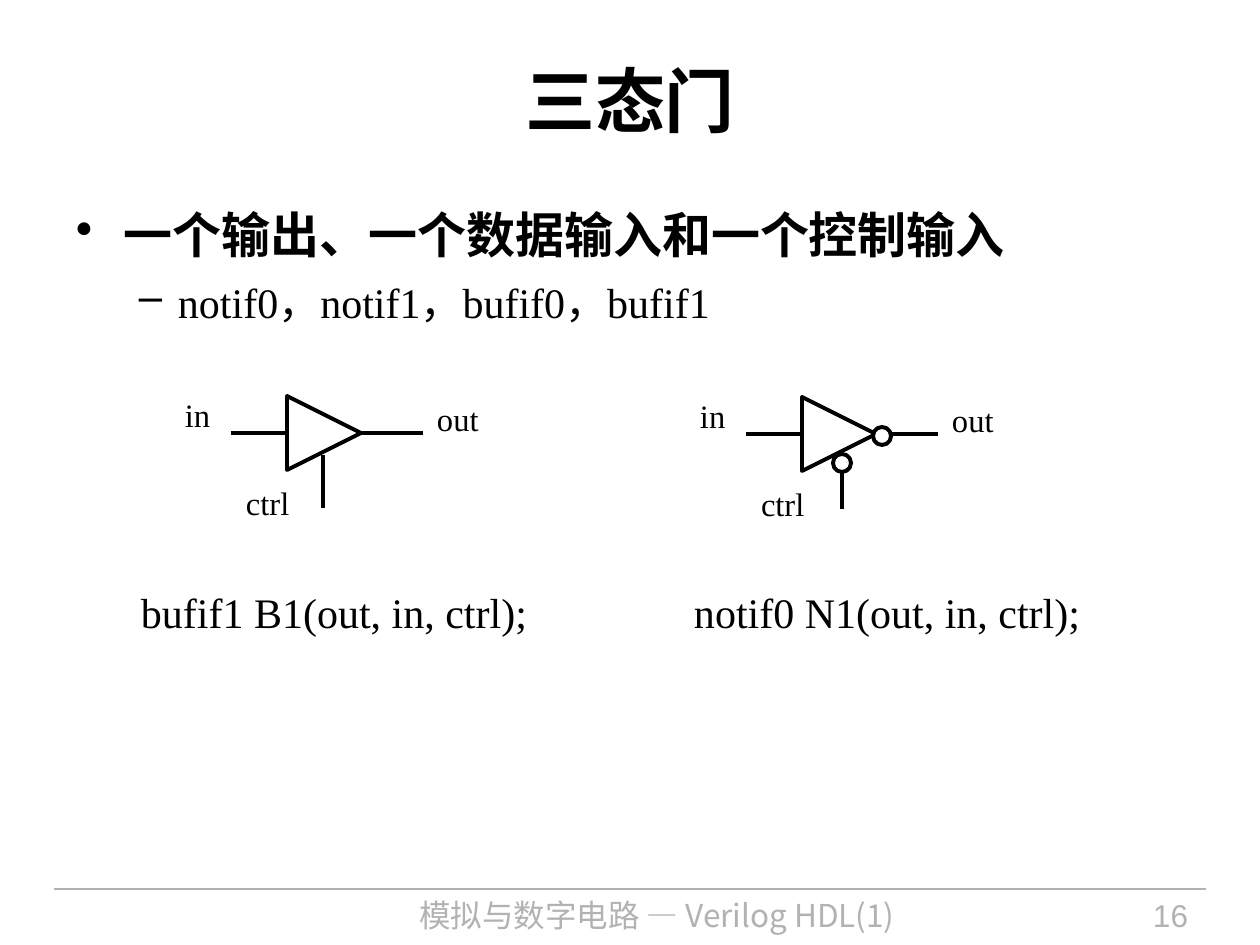
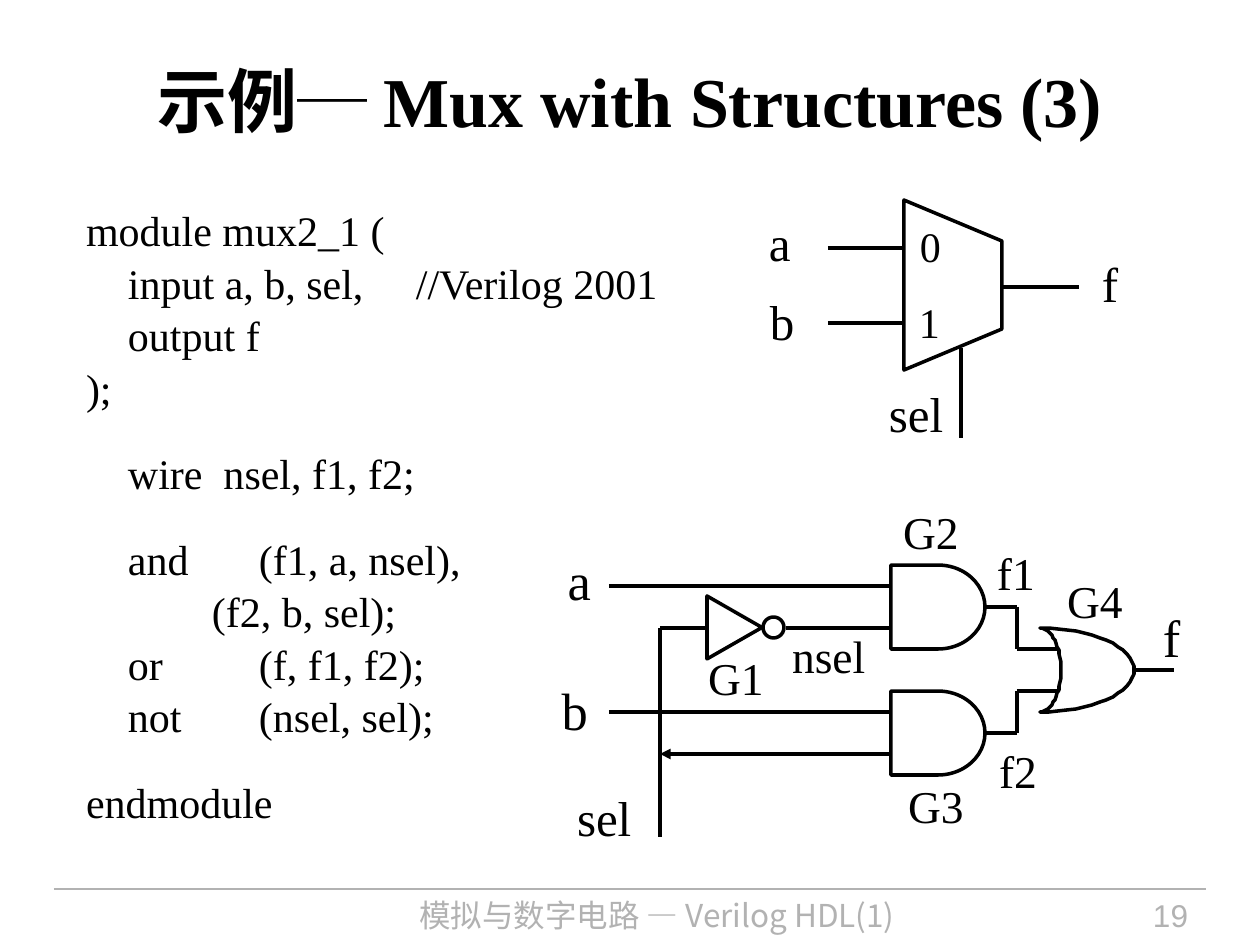
import copy
import math

from lxml import etree
from pptx import Presentation
from pptx import util as u
from pptx.dml.color import RGBColor
from pptx.enum import shapes, text
from pptx.oxml.ns import qn

PX = u.Inches(1) / 126
COLOURS = {"ink": "000000", "paper": "FFFFFF", "footer": "B2B2B2"}
SERIF, CJK, SANS = "Times New Roman", "Noto Sans CJK SC", "Arial"
LEFT, CENTER, RIGHT = text.PP_ALIGN.LEFT, text.PP_ALIGN.CENTER, text.PP_ALIGN.RIGHT
STRAIGHT = shapes.MSO_CONNECTOR.STRAIGHT
KIND = shapes.MSO_SHAPE


def place_text(shape, box, words, size, align=LEFT, font=SERIF, colour="ink",
               bold=False, spacing=None):
    """Move a text shape to box (px), fill it and format every run."""
    shape.left, shape.top, shape.width, shape.height = [round(v * PX) for v in box]
    frame = shape.text_frame
    frame.margin_left = frame.margin_right = frame.margin_top = frame.margin_bottom = 0
    frame.word_wrap = True
    frame.auto_size = text.MSO_AUTO_SIZE.NONE
    frame.text = words
    for paragraph in frame.paragraphs:
        paragraph.alignment = align
        paragraph.line_spacing = spacing
        for run in paragraph.runs:
            run.font.name = font
            run.font.size = u.Pt(size)
            run.font.bold = bold
            run.font.color.rgb = RGBColor.from_string(COLOURS[colour])
            etree.SubElement(run.font._element, qn("a:ea"), typeface=CJK)
    return frame


def draw_outline(shape, weight, colour="ink", fill=None):
    """Give a shape or connector a plain line without shadow."""
    shape.line.color.rgb = RGBColor.from_string(COLOURS[colour])
    shape.line.width = u.Pt(weight)
    if fill:
        shape.fill.solid()
        shape.fill.fore_color.rgb = RGBColor.from_string(COLOURS[fill])
    elif hasattr(shape, "fill"):
        shape.fill.background()
    etree.SubElement(shape._element.spPr, qn("a:effectLst"))
    return shape


presentation = Presentation()
presentation.slide_width, presentation.slide_height = u.Inches(10), u.Inches(7.5)

# Title, rule and footer of both slides
slides = []
for title, number in (("三态门", "16"), ("示例", "19")):
    slide = presentation.slides.add_slide(presentation.slide_layouts[5])
    frame = place_text(slide.shapes.title, (63, 21, 1134, 158), title, 40, CENTER, bold=True)
    frame.vertical_anchor = text.MSO_ANCHOR.MIDDLE
    rule = [round(v * PX) for v in (54, 889, 1206, 889)]
    draw_outline(slide.shapes.add_connector(STRAIGHT, *rule), 0.75, "footer")
    place_text(slide.shapes.add_textbox(0, 0, 0, 0), (315, 896, 684, 43),
               "模拟与数字电路 — Verilog HDL(1)", 18, CENTER, CJK, "footer")
    place_text(slide.shapes.add_textbox(0, 0, 0, 0), (1046, 896, 142, 43),
               number, 18, RIGHT, SANS, "footer")
    slides.append(slide)
tristate, mux = slides

# Tri-state gates: bullets
frame = place_text(tristate.shapes.add_textbox(0, 0, 0, 0), (76, 205, 1109, 140),
                   "一个输出、一个数据输入和一个控制输入\nnotif0，notif1，bufif0，bufif1", 28)
bullets = (("•", 48, 48, 28, True, 7), ("–", 102, 39, 24, False, 6))
for level, (paragraph, bullet) in enumerate(zip(frame.paragraphs, bullets)):
    mark, margin, hang, size, bold, after = bullet
    paragraph.level = level
    paragraph.space_after = u.Pt(after)
    properties = paragraph._p.get_or_add_pPr()
    properties.set("marL", str(round(margin * PX)))
    properties.set("indent", str(round(-hang * PX)))
    etree.SubElement(properties, qn("a:buChar"), char=mark)
    for run in paragraph.runs:
        run.font.size, run.font.bold = u.Pt(size), bold

# Tri-state gates: the two symbols, the second with inverting bubbles
gates = (
    (0, 0, 323, (), 141, "bufif1 B1(out, in, ctrl);"),
    (515, 1, 842, ((873, 427), (833, 454)), 694, "notif0 N1(out, in, ctrl);"),
)
for dx, dy, control_x, bubbles, code_x, code in gates:
    wire = [round(v * PX) for v in (231 + dx, 433 + dy, 423 + dx, 433 + dy)]
    draw_outline(tristate.shapes.add_connector(STRAIGHT, *wire), 2.25)
    box = [round(v * PX) for v in (287 + dx, 396 + dy, 74, 74)]
    buffer = draw_outline(tristate.shapes.add_shape(KIND.FLOWCHART_EXTRACT, *box),
                          2.25, fill="paper")
    buffer.rotation = 90
    wire = [round(v * PX) for v in (control_x, 455 + dy, control_x, 508 + dy)]
    draw_outline(tristate.shapes.add_connector(STRAIGHT, *wire), 2.25)
    for x, y in bubbles:
        box = [round(v * PX) for v in (x, y, 18, 18)]
        draw_outline(tristate.shapes.add_shape(KIND.OVAL, *box), 2.25, fill="paper")
    for label, x, y in (("in", 185, 403), ("out", 437, 407), ("ctrl", 246, 491)):
        place_text(tristate.shapes.add_textbox(0, 0, 0, 0), (x + dx, y + dy, 70, 40),
                   label, 18.6, spacing=0.8)
    place_text(tristate.shapes.add_textbox(0, 0, 0, 0), (code_x, 587, 400, 53), code, 24)

# Multiplexer: rest of the title
paragraph = mux.shapes.title.text_frame.paragraphs[0]
for words, font in (("─ ", CJK), ("Mux with Structures (3)", SERIF)):
    paragraph._p.append(copy.deepcopy(paragraph.runs[0]._r))
    run = paragraph.runs[-1]
    run.text = words
    run.font.name = font

# Multiplexer: code
code = """module mux2_1 (
    input a, b, sel,     //Verilog 2001
    output f
);
    wire  nsel, f1, f2;
    and\t(f1, a, nsel),
            (f2, b, sel);
    or\t(f, f1, f2);
    not\t(nsel, sel);
endmodule"""
frame = place_text(mux.shapes.add_textbox(0, 0, 0, 0), (86, 203, 611, 660),
                   code, 24, spacing=1.04)
for paragraph in frame.paragraphs:
    if paragraph.text.lstrip().startswith(("wire", "and", "endmodule")):
        paragraph.space_before = u.Pt(19)
    if "\t" in paragraph.text:
        tabs = etree.SubElement(paragraph._p.get_or_add_pPr(), qn("a:tabLst"))
        etree.SubElement(tabs, qn("a:tab"), pos=str(round(173 * PX)), algn="l")

# Multiplexer: wires of the symbol, then of the gate circuit on its row grid
rows = [586 + 21 * i for i in range(9)]
symbol_wires = ((961, 438, 961, 348), (828, 323, 904, 323),
                (1002, 287, 1079, 287), (828, 248, 904, 248))
circuit_wires = (
    (609, rows[0], 891, rows[0]), (985, rows[1], 1017, rows[1]),
    (609, rows[6], 891, rows[6]), (985, rows[7], 1017, rows[7]),
    (1017, rows[3], 1058, rows[3]), (1017, rows[5], 1058, rows[5]),
    (1134, rows[4], 1174, rows[4]), (660, rows[2], 707, rows[2]),
    (786, rows[2], 891, rows[2]), (660, rows[2], 660, 837),
    (1017, rows[5], 1017, rows[7]), (1017, rows[1], 1017, rows[3]),
    (660, rows[8], 891, rows[8]),
)
for weight, wires in ((2.25, symbol_wires), (2, circuit_wires)):
    for ends in wires:
        wire = mux.shapes.add_connector(STRAIGHT, *[round(v * PX) for v in ends])
        draw_outline(wire, weight)
# The last wire is the sel branch, with an arrowhead where it meets the trunk
etree.SubElement(wire.line._get_or_add_ln(), qn("a:headEnd"), type="triangle")

# Multiplexer: symbol body and OR gate
mux_body = [(904, 200), (1002, 241), (1002, 329), (904, 370)]
angles = [math.pi * i / 32 for i in range(33)]
front, back = [[(1040 + depth * math.sin(a), rows[4] - 42 * math.cos(a)) for a in angles]
               for depth in (94, 21)]
for points in (mux_body, front + back[::-1]):
    builder = mux.shapes.build_freeform(*points[0], scale=PX)
    builder.add_line_segments(points[1:], close=True)
    draw_outline(builder.convert_to_shape(), 2)

# Multiplexer: AND gates, inverter and its bubble
parts = (
    (KIND.FLOWCHART_DELAY, (891, rows[0] - 21, 94, 84), 0),
    (KIND.FLOWCHART_DELAY, (891, rows[5], 94, 84), 0),
    (KIND.ISOSCELES_TRIANGLE, (703, 600, 63, 55), 90),
    (KIND.OVAL, (763, 617, 21, 21), 0),
)
for kind, box, rotation in parts:
    shape = mux.shapes.add_shape(kind, *[round(v * PX) for v in box])
    draw_outline(shape, 2).rotation = rotation

# Multiplexer: labels of the symbol, then of the circuit
symbol_labels = (("a", 769, 212, 28), ("b", 770, 292, 28), ("sel", 889, 383, 28),
                 ("f", 1102, 253, 28), ("0", 920, 220, 24), ("1", 919, 296, 24))
for label, x, y, size in symbol_labels:
    place_text(mux.shapes.add_textbox(0, 0, 0, 0), (x, y, 60, 59), label, size)
circuit_labels = (
    ("a", 551, 558, 40, 30, RIGHT), ("b", 548, 688, 40, 30, RIGHT),
    ("sel", 577, 797, 84, 28, LEFT), ("f", 1163, 615, 40, 30, LEFT),
    ("nsel", 792, 636, 97, 26, LEFT), ("f1", 997, 553, 70, 26, LEFT),
    ("f2", 999, 751, 70, 26, LEFT), ("G1", 701, 658, 70, 26, CENTER),
    ("G2", 896, 512, 70, 26, CENTER), ("G3", 901, 786, 70, 26, CENTER),
    ("G4", 1060, 581, 70, 26, CENTER),
)
for label, x, y, width, size, align in circuit_labels:
    place_text(mux.shapes.add_textbox(0, 0, 0, 0), (x, y, width, 50), label, size, align,
               spacing=0.85)

presentation.save("out.pptx")
